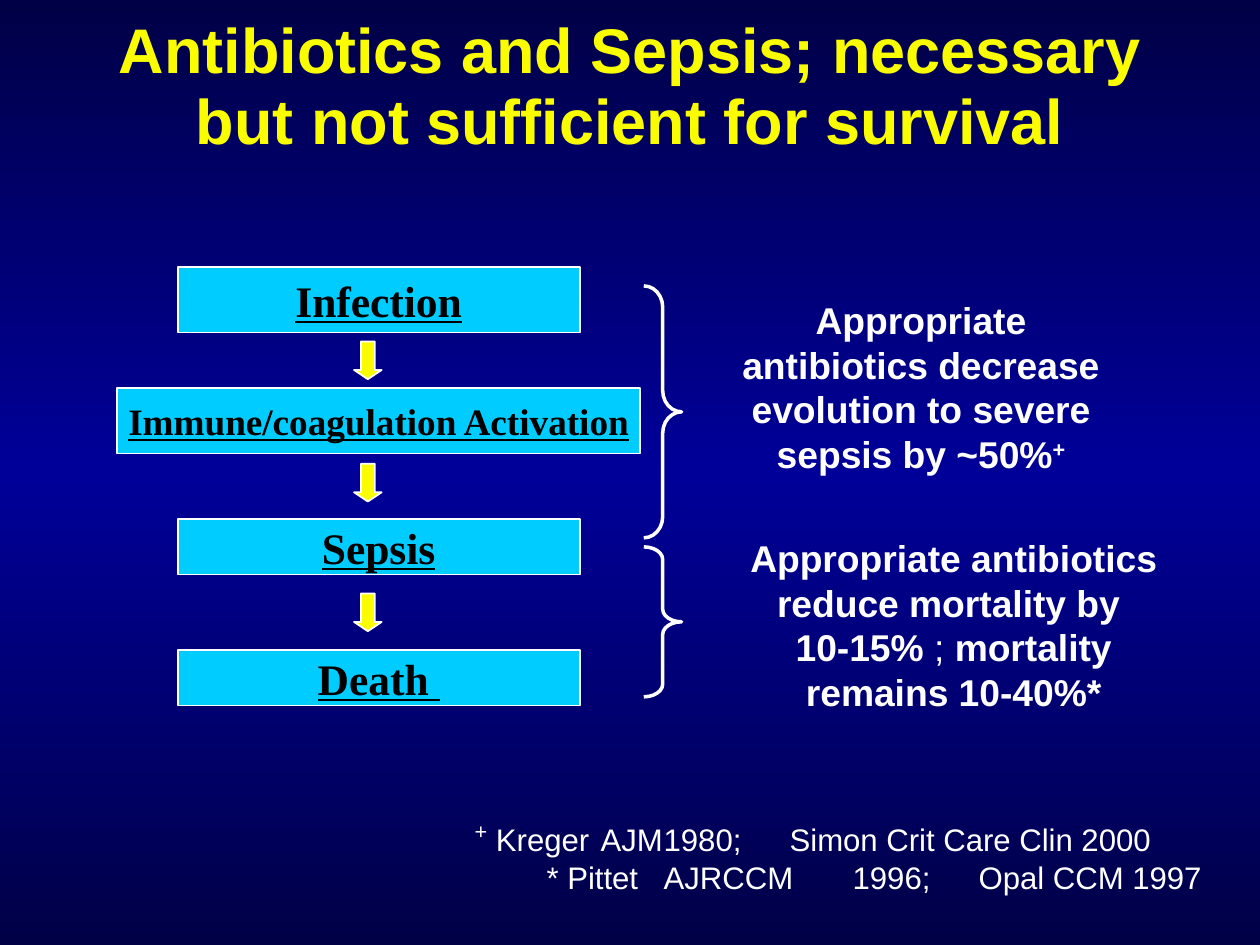
from copy import deepcopy
from dataclasses import dataclass

from lxml.etree import SubElement
from pptx import Presentation
from pptx.dml.color import RGBColor as RGB
from pptx.enum.shapes import MSO_SHAPE as SHAPE
from pptx.enum.text import MSO_ANCHOR as ANCHOR, MSO_AUTO_SIZE as AUTO, PP_ALIGN as ALIGN
from pptx.oxml.ns import qn
from pptx.util import Pt


@dataclass(frozen=True)
class Theme:
    edge: RGB = RGB.from_string("000047")
    middle: RGB = RGB.from_string("000099")
    yellow: RGB = RGB.from_string("FAFD00")
    cyan: RGB = RGB.from_string("00CCFF")
    white: RGB = RGB.from_string("FFFFFF")
    black: RGB = RGB.from_string("000000")
    sans: str = "Arial"
    serif: str = "Times New Roman"
    title: float = 36
    step: float = 24.9
    body: float = 21.3
    source: float = 17.8


THEME = Theme()
TITLE = "Antibiotics and Sepsis; necessary but not sufficient for survival"

STEP_CENTER, ARROW_CENTER = 216.4, 210.2
STEPS = [
    ("Infection", 152.6, 229.7, 37.4, THEME.step),
    ("Immune/coagulation Activation", 221.8, 298.8, 37.4, THEME.body),
    ("Sepsis", 296.6, 229.7, 31.7, THEME.step),
    ("Death ", 371.5, 229.7, 31.7, THEME.step),
]
ARROW_TOPS = [195.1, 265, 339.1]
ARROW_SIZE = (15.8, 21.6)
BRACES = [(163.4, 144, 0.562), (312.5, 85.7, 0.333)]
BRACE_LEFT, BRACE_WIDTH = 367.9, 21.6

BOLD, PLAIN, RAISED = {"bold": True}, {}, {"bold": True, "raised": True}
FINDINGS = [
    ((411.1, 166.3, 230.4, 110.9), [
        [("Appropriate antibiotics decrease evolution to severe sepsis by ~50%", BOLD),
         ("+", RAISED)],
    ]),
    ((411.8, 302.4, 266.4, 110.9), [
        [("Appropriate antibiotics reduce mortality by ", BOLD)],
        [("10-15%", BOLD), (" ; ", PLAIN), ("mortality remains 10-40%*", BOLD)],
    ]),
]
SOURCE_BOX = (264.2, 461.5, 436.3, 50.4)
SOURCES = [
    (0, [74.3, 119.5, 178.9],
     [("+", {"raised": True, "size": THEME.body}),
      (" Kreger\tAJM\t1980;\tSimon Crit Care Clin 2000", PLAIN)]),
    (41.1, [123.5, 186.9, 245.7],
     [("* Pittet\tAJRCCM\t1996;\tOpal CCM 1997", PLAIN)]),
]


def add_run(paragraph, text, size, color=THEME.white, name=THEME.sans,
            bold=False, underline=False, raised=False):
    run = paragraph.add_run()
    run.text = text
    font = run.font
    font.size, font.name, font.bold, font.underline = Pt(size), name, bold, underline
    font.color.rgb = color
    if raised:
        run._r.get_or_add_rPr().set("baseline", "30000")


def set_background(slide):
    fill = slide.background.fill
    fill.gradient()
    fill.gradient_angle = 90
    stop_list = slide._element.find(".//" + qn("a:gsLst"))
    stop_list.insert(1, deepcopy(stop_list[0]))
    colors = (THEME.edge, THEME.middle, THEME.edge)
    for stop, position, color in zip(fill.gradient_stops, (0, 0.5, 1), colors):
        stop.position = position
        stop.color.rgb = color


def add_title(slide):
    title = slide.shapes.title
    title.left, title.top, title.width, title.height = map(Pt, (36, 4.3, 648, 90))
    frame = title.text_frame
    frame.auto_size, frame.word_wrap = AUTO.NONE, True
    frame.vertical_anchor = ANCHOR.BOTTOM
    frame.margin_left = frame.margin_top = frame.margin_right = 0
    frame.margin_bottom = Pt(4.3)
    paragraph = frame.paragraphs[0]
    paragraph.alignment, paragraph.line_spacing = ALIGN.CENTER, Pt(41)
    add_run(paragraph, TITLE, THEME.title, THEME.yellow, bold=True)


def add_outlined(slide, kind, box, line_width, fill=None):
    shape = slide.shapes.add_shape(kind, *map(Pt, box))
    shape.shadow.inherit = False
    if fill is None:
        shape.fill.background()
    else:
        shape.fill.solid()
        shape.fill.fore_color.rgb = fill
    shape.line.color.rgb = THEME.white
    shape.line.width = Pt(line_width)
    return shape


def add_step(slide, text, top, width, height, size):
    box = (STEP_CENTER - width / 2, top, width, height)
    shape = add_outlined(slide, SHAPE.FLOWCHART_PROCESS, box, 1, THEME.cyan)
    frame = shape.text_frame
    frame.word_wrap, frame.vertical_anchor = False, ANCHOR.MIDDLE
    paragraph = frame.paragraphs[0]
    paragraph.alignment = ALIGN.CENTER
    add_run(paragraph, text, size, THEME.black, THEME.serif, bold=True, underline=True)


def add_text_box(slide, box, count):
    frame = slide.shapes.add_textbox(*map(Pt, box)).text_frame
    frame.word_wrap, frame.auto_size = True, AUTO.SHAPE_TO_FIT_TEXT
    while len(frame.paragraphs) < count:
        frame.add_paragraph()
    return frame.paragraphs


def add_finding(slide, box, lines):
    for paragraph, runs in zip(add_text_box(slide, box, len(lines)), lines):
        paragraph.alignment = ALIGN.CENTER
        for text, style in runs:
            add_run(paragraph, text, THEME.body, **style)


def add_sources(slide):
    paragraphs = add_text_box(slide, SOURCE_BOX, len(SOURCES))
    for paragraph, (indent, tabs, runs) in zip(paragraphs, SOURCES):
        paragraph.alignment = ALIGN.LEFT
        properties = paragraph._p.get_or_add_pPr()
        properties.set("marL", "0")
        properties.set("indent", str(Pt(indent)))
        tab_list = SubElement(properties, qn("a:tabLst"))
        for position in tabs:
            SubElement(tab_list, qn("a:tab"), pos=str(Pt(position)), algn="l")
        for text, style in runs:
            add_run(paragraph, text, **{"size": THEME.source, **style})


def main():
    presentation = Presentation()
    presentation.slide_width, presentation.slide_height = Pt(720), Pt(540)
    slide = presentation.slides.add_slide(presentation.slide_layouts[5])
    set_background(slide)
    add_title(slide)
    for step in STEPS:
        add_step(slide, *step)
    for top, height, curve in BRACES:
        box = (BRACE_LEFT, top, BRACE_WIDTH, height)
        brace = add_outlined(slide, SHAPE.RIGHT_BRACE, box, 2)
        brace.adjustments[0], brace.adjustments[1] = curve, 0.5
    for finding in FINDINGS:
        add_finding(slide, *finding)
    for top in ARROW_TOPS:
        box = (ARROW_CENTER - ARROW_SIZE[0] / 2, top, *ARROW_SIZE)
        arrow = add_outlined(slide, SHAPE.DOWN_ARROW, box, 1, THEME.yellow)
        arrow.adjustments[0], arrow.adjustments[1] = 0.5, 0.333
    add_sources(slide)
    presentation.save("out.pptx")


if __name__ == "__main__":
    main()
